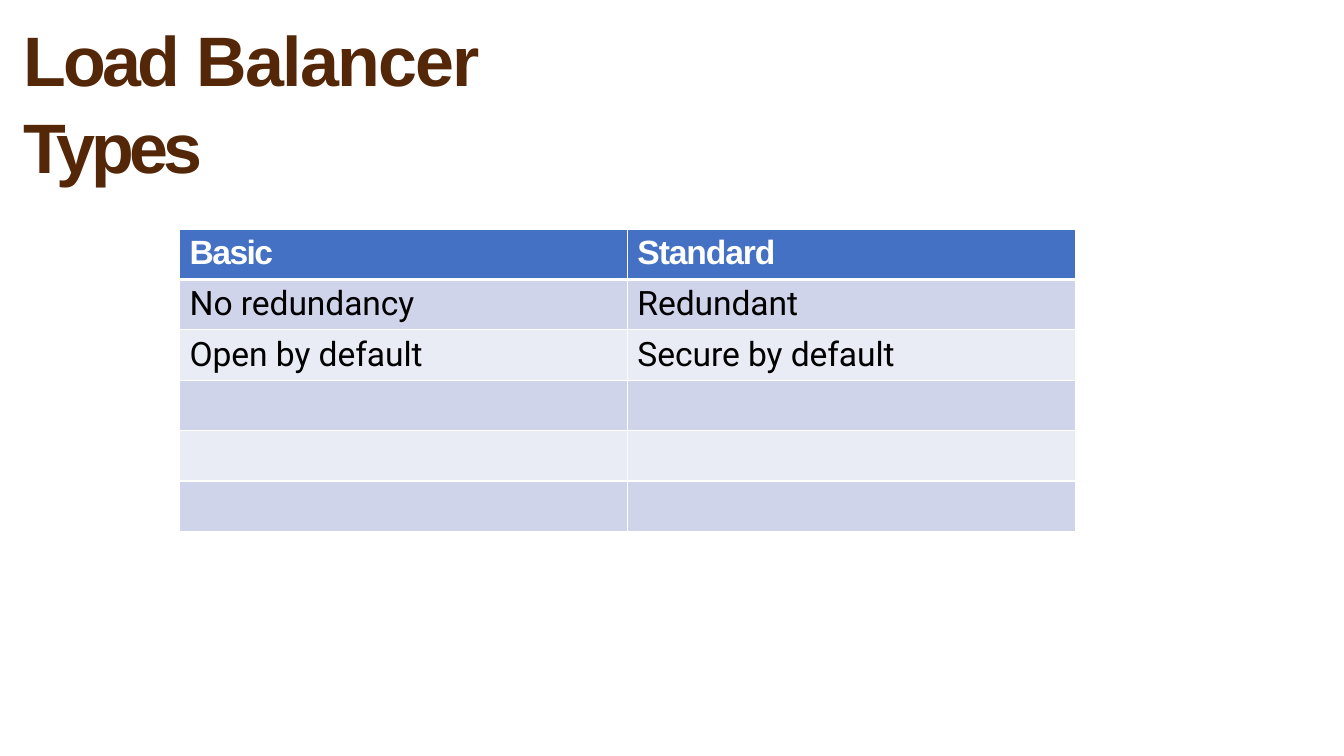
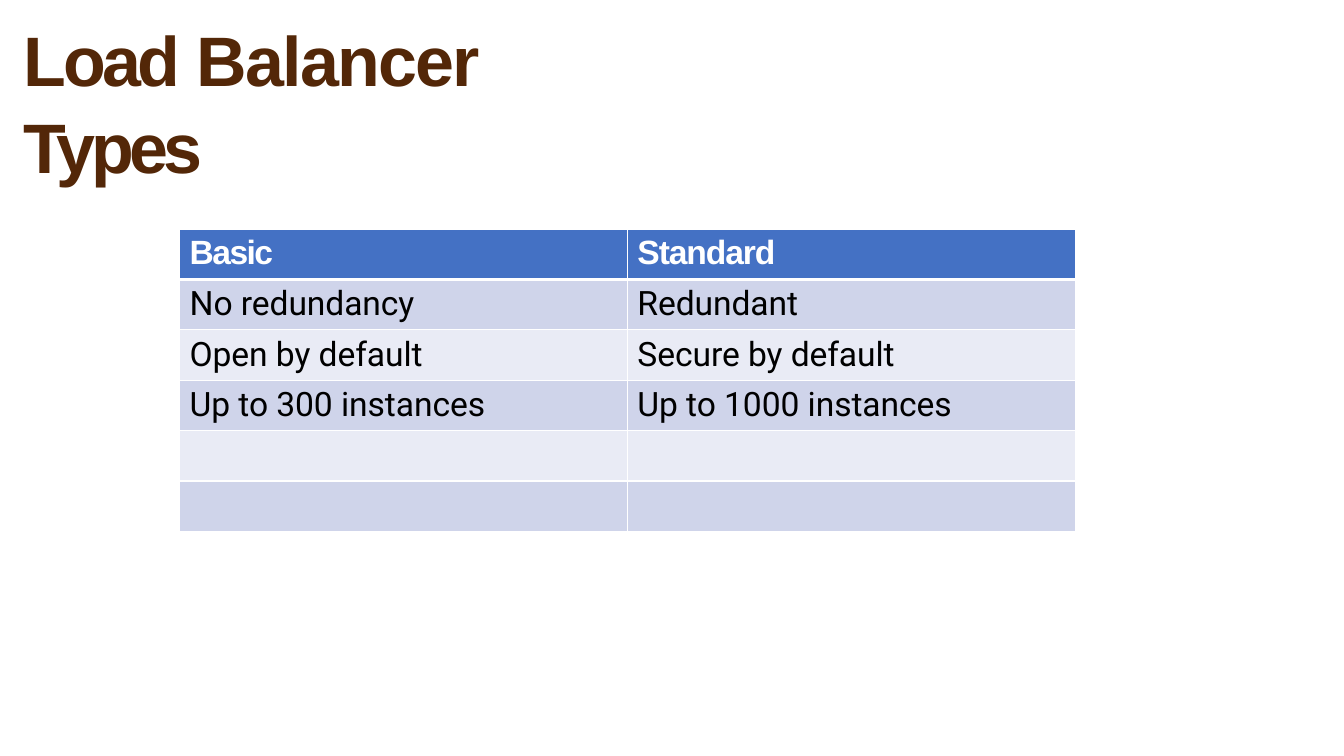
import pptx
import pptx.util
import pptx.dml.color
import pptx.enum.text
from lxml import etree
from pptx.oxml.ns import qn

Cm = pptx.util.Cm
Pt = pptx.util.Pt

BROWN, BLUE, WHITE, BLACK = "532708", "4471C4", "FFFFFF", "000000"
BANDS = ("CFD4EA", "E9EBF5")
TITLE = (("Load ", -2.5), ("Balancer ", -1.3), ("Types", -3.3))
HEADS = (("Basic", -1.1), ("Standard", -0.8))
FACTS = (
    ("No redundancy", "Redundant"),
    ("Open by default", "Secure by default"),
    ("Up to 300 instances", "Up to 1000 instances"),
)
ROWS = 6


def paint(color, code):
    """Set a colour format from a hex string."""
    color.rgb = pptx.dml.color.RGBColor.from_string(code)


def style(run, font, size, code, bold, gap):
    """Format a run, with its letter spacing in points."""
    run.font.name, run.font.size, run.font.bold = font, Pt(size), bold
    paint(run.font.color, code)
    run.font._element.set("spc", str(round(gap * 100)))


def edge(cell, side, width):
    """Draw one white border of a cell."""
    line = etree.SubElement(cell._tc.get_or_add_tcPr(), qn("a:ln" + side))
    line.set("w", str(Pt(width)))
    fill = etree.SubElement(line, qn("a:solidFill"))
    etree.SubElement(fill, qn("a:srgbClr")).set("val", WHITE)


def add_title(slide, left, top, width, height):
    """Place and format the title."""
    title = slide.shapes.title
    title.left, title.top, title.width, title.height = left, top, width, height
    frame = title.text_frame
    frame.word_wrap = True
    frame.auto_size = pptx.enum.text.MSO_AUTO_SIZE.SHAPE_TO_FIT_TEXT
    frame.vertical_anchor = pptx.enum.text.MSO_ANCHOR.TOP
    frame.margin_left = frame.margin_right = frame.margin_bottom = 0
    frame.margin_top = Cm(0.03)
    para = frame.paragraphs[0]
    para.alignment = pptx.enum.text.PP_ALIGN.LEFT
    para.line_spacing = 1.04
    for text, gap in TITLE:
        run = para.add_run()
        run.text = text
        style(run, "Arial", 50, BROWN, True, gap)


def add_grid(slide, left, top, width, height, facts):
    """Draw the comparison table, leaving rows without facts blank."""
    cols = len(HEADS)
    table = slide.shapes.add_table(ROWS, cols, left, top, width, height).table
    for row in range(ROWS):
        for col in range(cols):
            cell = table.cell(row, col)
            cell.margin_left, cell.margin_top = Cm(0.25), Cm(0.13)
            cell.margin_right = cell.margin_bottom = 0
            widths = {"L": 1, "R": 1, "T": 3 if row == 1 else 1, "B": 3 if row == 0 else 1}
            for side, size in widths.items():
                edge(cell, side, size)
            cell.fill.solid()
            paint(cell.fill.fore_color, BANDS[(row - 1) % 2] if row else BLUE)
            if row > len(facts):
                continue
            if row:
                text, look = facts[row - 1][col], ("Roboto", 24, BLACK, False, -0.05)
            else:
                text, gap = HEADS[col]
                look = ("Arial", 24, WHITE, True, gap)
            cell.text_frame.text = text
            style(cell.text_frame.paragraphs[0].runs[0], *look)


def add_slide(deck, facts):
    """Build one load balancer slide."""
    slide = deck.slides.add_slide(deck.slide_layouts[5])
    add_title(slide, Cm(0.6), Cm(0.3), Cm(16.3), Cm(2.2))
    add_grid(slide, Cm(4.53), Cm(5.77), Cm(22.57), Cm(7.62), facts)


def main():
    """Build and save the deck."""
    deck = pptx.Presentation()
    deck.slide_width, deck.slide_height = Cm(33.87), Cm(19.05)
    for count in (2, 3):
        add_slide(deck, FACTS[:count])
    deck.save("out.pptx")


if __name__ == "__main__":
    main()
